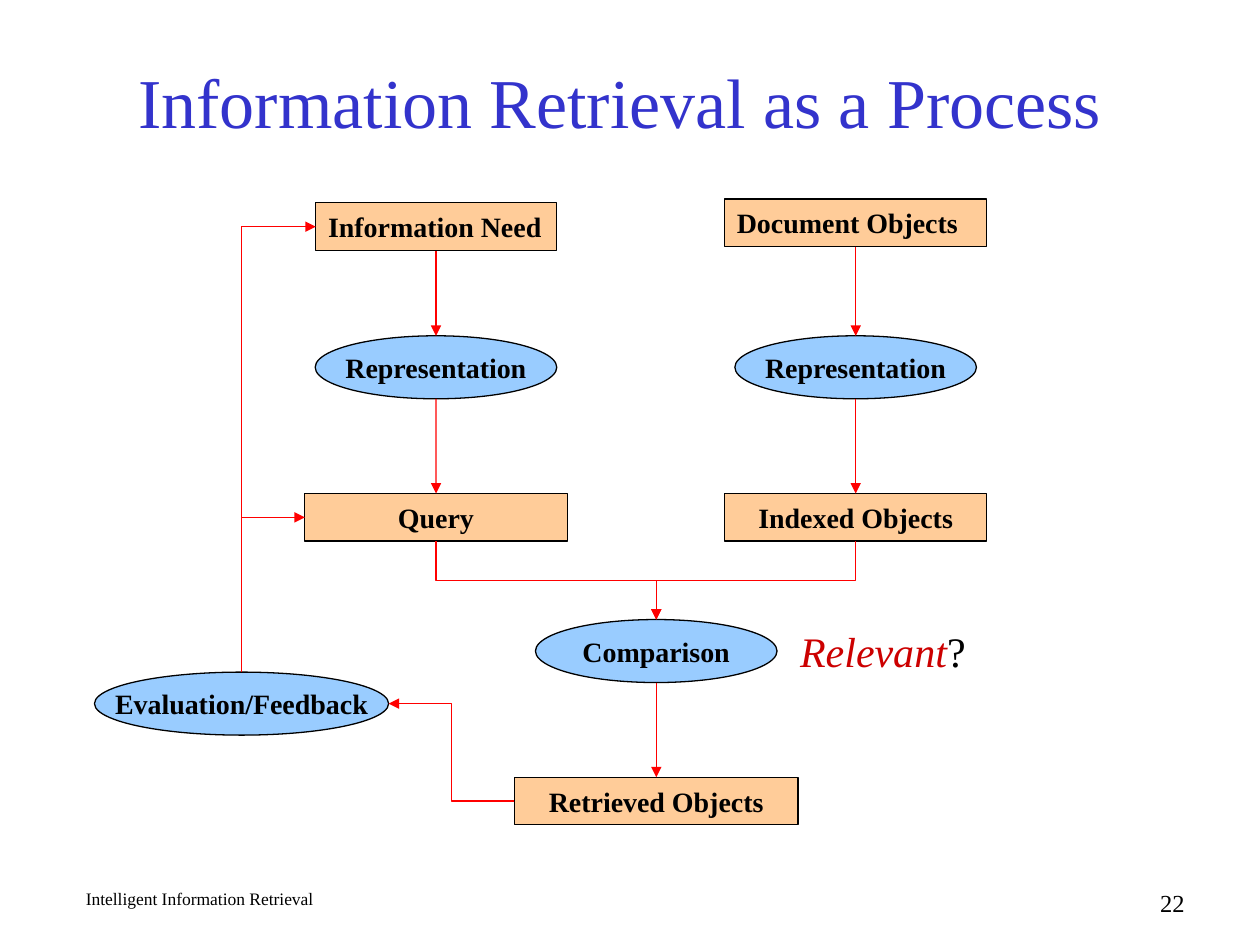
from lxml.etree import SubElement
from pptx import Presentation
from pptx.dml.color import RGBColor
from pptx.enum.shapes import MSO_CONNECTOR, MSO_SHAPE
from pptx.enum.text import MSO_ANCHOR, PP_ALIGN
from pptx.oxml.ns import qn
from pptx.util import Cm, Pt

COLORS = {
    "title": "3333CC",
    "text": "000000",
    "object": "FFCC99",
    "process": "99CCFF",
    "arrow": "FF0000",
    "relevant": "CC0000",
}
FONT = "Times New Roman"
QUERY_X, COMPARISON_X, DOCUMENT_X, FEEDBACK_X = 8.79, 13.23, 17.25, 4.87


def color(name):
    """Return the named colour of the palette."""
    return RGBColor.from_string(COLORS[name])


def format_run(run, size, color_name="text", bold=False, italic=False):
    """Set the font of one run."""
    run.font.name = FONT
    run.font.size = Pt(size)
    run.font.bold = bold
    run.font.italic = italic
    run.font.color.rgb = color(color_name)


def add_title(slide, wording):
    """Fill and place the title placeholder."""
    title = slide.shapes.title
    title.left, title.top, title.width, title.height = Cm(1.7), Cm(0.43), Cm(21.6), Cm(3.18)
    title.text_frame.text = wording
    title.text_frame.vertical_anchor = MSO_ANCHOR.MIDDLE
    heading = title.text_frame.paragraphs[0]
    heading.alignment = PP_ALIGN.CENTER
    format_run(heading.runs[0], 40, "title")


def add_label(slide, wording, left, top, width, height, size, align=PP_ALIGN.LEFT):
    """Add a line of free text and return its paragraph."""
    label = slide.shapes.add_textbox(Cm(left), Cm(top), Cm(width), Cm(height))
    label.text_frame.word_wrap = True
    label.text_frame.text = wording
    line = label.text_frame.paragraphs[0]
    line.alignment = align
    format_run(line.runs[0], size)
    return line


def add_node(slide, kind, fill, wording, center, top, width, height, align):
    """Add a labelled flow chart node centred on a column."""
    node = slide.shapes.add_shape(kind, Cm(center - width / 2), Cm(top), Cm(width), Cm(height))
    node.shadow.inherit = False
    node.fill.solid()
    node.fill.fore_color.rgb = color(fill)
    node.line.color.rgb = color("text")
    node.line.width = Pt(0.75)
    node.text_frame.word_wrap = False
    node.text_frame.text = wording
    caption = node.text_frame.paragraphs[0]
    caption.alignment = align
    format_run(caption.runs[0], 16, bold=True)
    return node


def add_object(slide, wording, center, top, width=5.29, align=PP_ALIGN.CENTER):
    """Add a rectangle for a thing that is processed."""
    return add_node(slide, MSO_SHAPE.RECTANGLE, "object", wording, center, top, width, 0.96, align)


def add_process(slide, wording, center, top, width=4.87):
    """Add an ellipse for a step of the process."""
    return add_node(slide, MSO_SHAPE.OVAL, "process", wording, center, top, width, 1.27, PP_ALIGN.CENTER)


def top_of(node):
    """Return the middle of the top side."""
    return node.left + node.width // 2, node.top


def bottom_of(node):
    """Return the middle of the bottom side."""
    return node.left + node.width // 2, node.top + node.height


def left_of(node):
    """Return the middle of the left side."""
    return node.left, node.top + node.height // 2


def right_of(node):
    """Return the middle of the right side."""
    return node.left + node.width, node.top + node.height // 2


def add_arrow(slide, kind, start, end):
    """Add a red connector with a triangle at its end."""
    arrow = slide.shapes.add_connector(kind, *start, *end)
    arrow.line.color.rgb = color("arrow")
    arrow.line.width = Pt(0.75)
    SubElement(arrow.line._get_or_add_ln(), qn("a:tailEnd"), type="triangle")
    SubElement(arrow._element.spPr, qn("a:effectLst"))
    return arrow


def add_down_arrow(slide, source, target):
    """Join two nodes that stand one above the other."""
    arrow = add_arrow(slide, MSO_CONNECTOR.STRAIGHT, bottom_of(source), top_of(target))
    if source.auto_shape_type == MSO_SHAPE.RECTANGLE:
        arrow.begin_connect(source, 2)
    arrow.end_connect(target, 0)


def add_vertical_elbow(slide, start, end, degrees, flip=False, preset="bentConnector3"):
    """Add an elbow that leaves its start vertically."""
    arrow = add_arrow(slide, MSO_CONNECTOR.ELBOW, start, end)
    (start_x, start_y), (end_x, end_y) = start, end
    length, breadth = abs(end_y - start_y), abs(end_x - start_x)
    arrow.left = (start_x + end_x - length) // 2
    arrow.top = (start_y + end_y - breadth) // 2
    arrow.width, arrow.height = length, breadth
    frame = arrow._element.spPr.find(qn("a:xfrm"))
    frame.set("rot", str(degrees * 60000))
    frame.set("flipH", str(int(flip)))
    frame.set("flipV", "0")
    arrow._element.spPr.find(qn("a:prstGeom")).set("prst", preset)


def main():
    """Build the information retrieval slide."""
    deck = Presentation()
    deck.slide_width, deck.slide_height = Cm(25.4), Cm(19.05)
    slide = deck.slides.add_slide(deck.slide_layouts[5])

    add_label(slide, "Intelligent Information Retrieval", 1.48, 17.78, 9.53, 0.64, 10)
    add_label(slide, "22", 18.84, 17.78, 5.29, 0.64, 14, PP_ALIGN.RIGHT)
    add_title(slide, "Information Retrieval as a Process")

    need = add_object(slide, "Information Need", QUERY_X, 4.09, 4.85, PP_ALIGN.LEFT)
    documents = add_object(slide, "Document Objects", DOCUMENT_X, 4.01, align=PP_ALIGN.LEFT)
    documents.text_frame.word_wrap = True
    query = add_object(slide, "Query", QUERY_X, 9.95)
    indexed = add_object(slide, "Indexed Objects", DOCUMENT_X, 9.95)
    retrieved = add_object(slide, "Retrieved Objects", COMPARISON_X, 15.67, 5.72)

    document_representation = add_process(slide, "Representation", DOCUMENT_X, 6.77)
    need_representation = add_process(slide, "Representation", QUERY_X, 6.77)
    comparison = add_process(slide, "Comparison", COMPARISON_X, 12.49)
    feedback = add_process(slide, "Evaluation/Feedback", FEEDBACK_X, 13.55, 5.93)

    for source, target in (
        (need, need_representation),
        (need_representation, query),
        (documents, document_representation),
        (document_representation, indexed),
        (comparison, retrieved),
    ):
        add_down_arrow(slide, source, target)

    add_vertical_elbow(slide, bottom_of(query), top_of(comparison), 270, flip=True)
    add_vertical_elbow(slide, bottom_of(indexed), top_of(comparison), 90)
    add_arrow(slide, MSO_CONNECTOR.ELBOW, left_of(retrieved), right_of(feedback))
    for target in (query, need):
        add_vertical_elbow(slide, top_of(feedback), left_of(target), 270, preset="bentConnector2")

    verdict = add_label(slide, "Relevant", 15.88, 12.49, 3.84, 1.27, 24)
    format_run(verdict.runs[0], 24, "relevant", italic=True)
    question_mark = verdict.add_run()
    question_mark.text = "?"
    format_run(question_mark, 24)

    deck.save("out.pptx")


if __name__ == "__main__":
    main()
